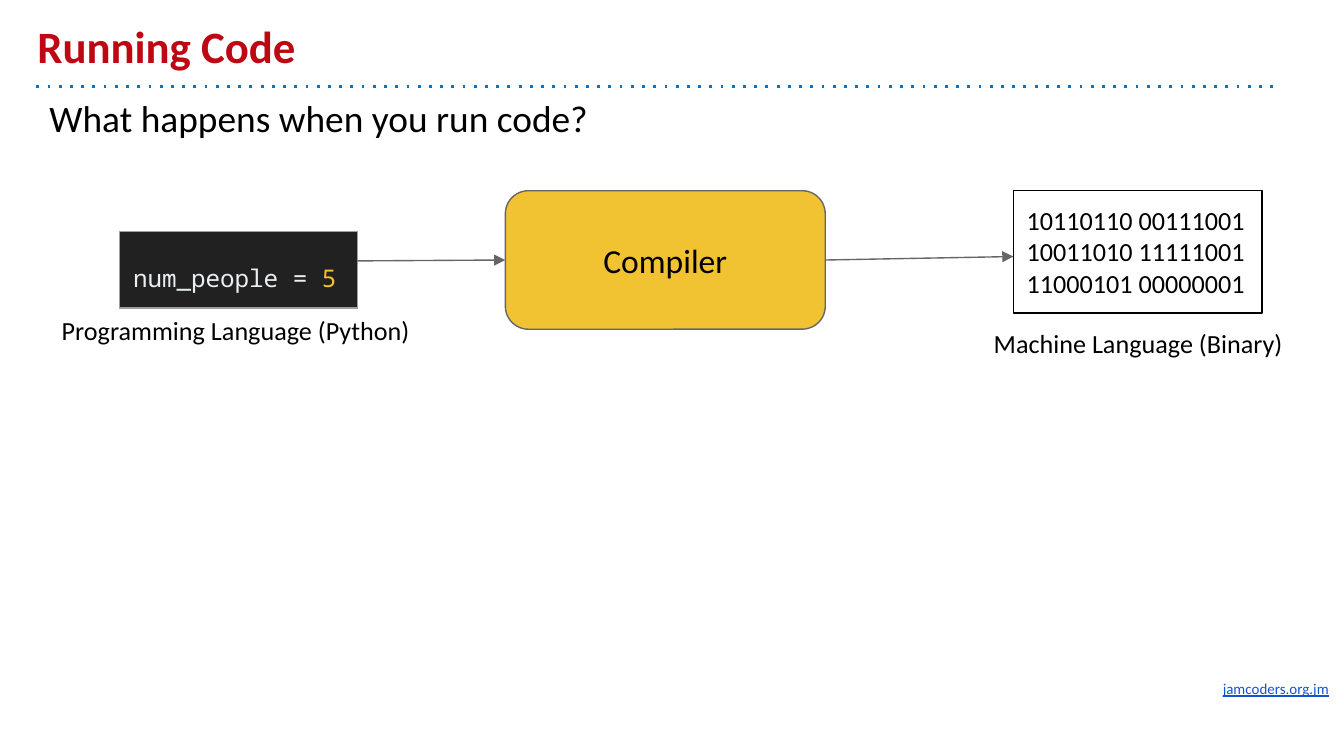
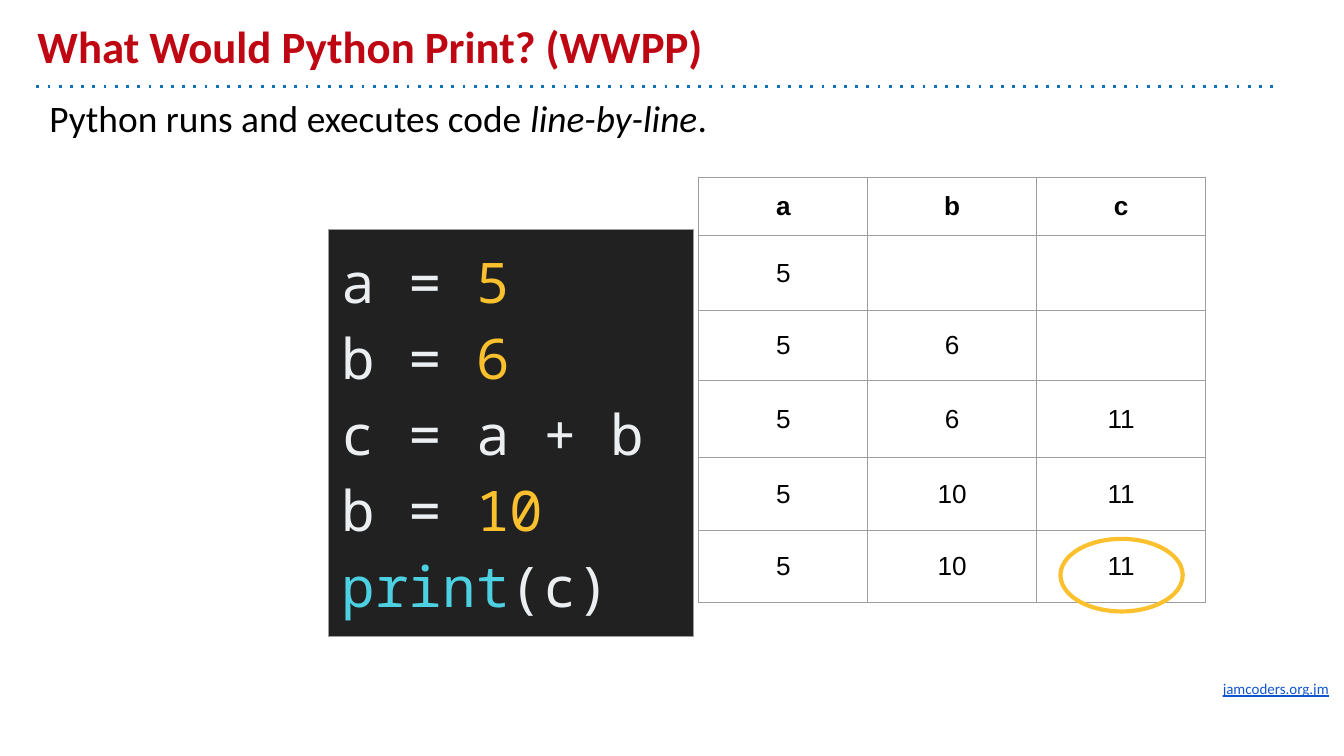
from collections import namedtuple
from itertools import product

from lxml.etree import SubElement
from pptx import Presentation
from pptx.dml.color import RGBColor
from pptx.enum.shapes import MSO_CONNECTOR, MSO_SHAPE
from pptx.enum.text import MSO_ANCHOR as Anchor, PP_ALIGN as Align
from pptx.oxml.ns import qn
from pptx.util import Pt

Box = namedtuple("Box", "left top width height")
Run = namedtuple("Run", "text color bold italic underline", defaults=("000000", False, False, False))

RED = "BE0712"
BLUE = "1072BD"
LINK = "1155CC"
GOLD = "F1C232"
GRAY = "666666"
BORDER = "9E9E9E"
CODE_BACK = "212121"
CODE_TEXT = "ECEFF1"
CODE_NUMBER = "FBC02D"
CODE_CALL = "4DD0E1"
BODY_FONT = "Calibri"
CODE_FONT = "Noto Sans Mono"
TABLE_FONT = "Arial"
INSET = 7.2


def rgb(color):
    return RGBColor.from_string(color)


def points(box):
    return [Pt(length) for length in box]


def within(box, left, top, width, height):
    return Box(box.left + left, box.top + top, width, height)


def write_text(frame, lines, size, font=BODY_FONT, align=Align.LEFT, spacing=None):
    for index, runs in enumerate(lines):
        paragraph = frame.add_paragraph() if index else frame.paragraphs[0]
        paragraph.alignment = align
        if spacing:
            paragraph.line_spacing = spacing
        for part in runs:
            run = paragraph.add_run()
            run.text = part.text
            run.font.name = font
            run.font.size = Pt(size)
            run.font.color.rgb = rgb(part.color)
            run.font.bold = part.bold
            run.font.italic = part.italic
            run.font.underline = part.underline


def fill_frame(frame, lines, size, anchor=Anchor.TOP, align=Align.LEFT):
    frame.word_wrap = True
    frame.vertical_anchor = anchor
    frame.margin_left = frame.margin_right = Pt(INSET)
    frame.margin_top = frame.margin_bottom = Pt(INSET)
    write_text(frame, lines, size, align=align)


def add_text(slide, box, lines, size, **style):
    shape = slide.shapes.add_textbox(*points(box))
    fill_frame(shape.text_frame, lines, size, **style)


def add_outline(slide, kind, box, line, width=0.75, fill=None):
    shape = slide.shapes.add_shape(kind, *points(box))
    shape.shadow.inherit = False
    if fill:
        shape.fill.solid()
        shape.fill.fore_color.rgb = rgb(fill)
    else:
        shape.fill.background()
    shape.line.color.rgb = rgb(line)
    shape.line.width = Pt(width)
    return shape


def add_line(slide, start, end, color, width, tag, **attributes):
    connector = slide.shapes.add_connector(MSO_CONNECTOR.STRAIGHT, *points(start + end))
    connector.line.color.rgb = rgb(color)
    connector.line.width = Pt(width)
    properties = connector._element.spPr
    SubElement(properties.find(qn("a:ln")), qn(tag), **attributes)
    SubElement(properties, qn("a:effectLst"))


def add_arrow(slide, start, end):
    add_line(slide, start, end, GRAY, 0.75, "a:tailEnd", type="triangle")


def add_grid(slide, box, row_heights, column_count):
    frame = slide.shapes.add_table(len(row_heights), column_count, *points(box))
    table = frame.table
    table.first_row = table.horz_banding = False
    for column in table.columns:
        column.width = Pt(box.width / column_count)
    for row, height in zip(table.rows, row_heights):
        row.height = Pt(height)
    return table


def style_cell(cell, fill=None, anchor=Anchor.MIDDLE):
    cell.vertical_anchor = anchor
    cell.margin_left = cell.margin_right = Pt(INSET)
    cell.margin_top = cell.margin_bottom = Pt(INSET)
    properties = cell._tc.get_or_add_tcPr()
    for side in ("L", "R", "T", "B"):
        line = SubElement(properties, qn(f"a:ln{side}"), w=str(Pt(0.75)))
        SubElement(SubElement(line, qn("a:solidFill")), qn("a:srgbClr"), val=BORDER)
    if fill:
        cell.fill.solid()
        cell.fill.fore_color.rgb = rgb(fill)
    else:
        cell.fill.background()


def add_code(slide, box, lines, size, anchor=Anchor.MIDDLE, spacing=None):
    cell = add_grid(slide, box, [box.height], 1).cell(0, 0)
    style_cell(cell, CODE_BACK, anchor)
    write_text(cell.text_frame, lines, size, CODE_FONT, spacing=spacing)


def assignment(name, value):
    return [Run(f"{name} = ", CODE_TEXT), Run(value, CODE_NUMBER)]


def add_page(presentation, title, lead):
    slide = presentation.slides.add_slide(presentation.slide_layouts[6])
    add_text(slide, Box(648, 359.3, 79.2, 24.5), [[Run("jamcoders.org.jm", LINK, underline=True)]], 8)
    add_line(slide, (19.5, 46.2), (684, 46.2), BLUE, 1.5, "a:prstDash", val="dot")
    add_text(slide, Box(13, 7.2, 648, 38.9), [[Run(title, RED, bold=True)]], 24, anchor=Anchor.BOTTOM)
    add_text(slide, Box(19.4, 43.9, 664.6, 326.9), [lead], 20)
    return slide


def draw_pipeline(slide, box):
    code = within(box, 38.1, 21.8, 127.4, 41)
    compiler = within(box, 244.7, 0, 171.4, 74.2)
    binary = within(box, 516.9, 0, 133.2, 65.5)
    middle = compiler.top + compiler.height / 2

    add_code(slide, code, [assignment("num_people", "5")], 13, Anchor.TOP, 1.5)
    add_arrow(slide, (code.left + code.width, middle + 0.5), (compiler.left, middle))
    shape = add_outline(slide, MSO_SHAPE.ROUNDED_RECTANGLE, compiler, GRAY, fill=GOLD)
    fill_frame(shape.text_frame, [[Run("Compiler")]], 18, Anchor.MIDDLE, Align.CENTER)
    add_arrow(slide, (compiler.left + compiler.width, middle), (binary.left, binary.top + binary.height / 2 + 2.5))
    shape = add_outline(slide, MSO_SHAPE.RECTANGLE, binary, "000000")
    digits = "10110110 00111001 10011010 11111001 11000101 00000001"
    fill_frame(shape.text_frame, [[Run(digits)]], 14)

    add_text(slide, within(box, 0, 59.3, 211.7, 31.7), [[Run("Programming Language (Python)")]], 14)
    add_text(slide, within(box, 478, 65.8, 211.7, 31.7), [[Run("Machine Language (Binary)")]], 14, align=Align.CENTER)


def draw_program(slide, box):
    lines = [
        assignment("a", "5"),
        assignment("b", "6"),
        [Run("c = a + b", CODE_TEXT)],
        assignment("b", "10"),
        [Run("print", CODE_CALL), Run("(c)", CODE_TEXT)],
    ]
    add_code(slide, box, lines, 30)


def draw_states(slide, box):
    states = [
        ("a", "b", "c"),
        ("5", "", ""),
        ("5", "6", ""),
        ("5", "6", "11"),
        ("5", "10", "11"),
        ("5", "10", "11"),
    ]
    row_heights = [30, 40.2, 37.5, 41.2, 39.2, 38.5]
    table = add_grid(slide, box, row_heights, 3)
    for row, column in product(range(len(states)), range(3)):
        cell = table.cell(row, column)
        style_cell(cell)
        value = states[row][column]
        if value:
            write_text(cell.text_frame, [[Run(value, bold=row == 0)]], 14, TABLE_FONT, Align.CENTER)
    ring = within(box, 193.7, 193.7, 65.5, 38.9)
    add_outline(slide, MSO_SHAPE.OVAL, ring, CODE_NUMBER, 2.25)


def main():
    presentation = Presentation()
    presentation.slide_width = Pt(720)
    presentation.slide_height = Pt(405)

    slide = add_page(presentation, "Running Code", [Run("What happens when you run code?")])
    draw_pipeline(slide, Box(26, 102.2, 690, 98))

    lead = [Run("Python runs and executes code "), Run("line-by-line", italic=True), Run(".")]
    slide = add_page(presentation, "What Would Python Print? (WWPP)", lead)
    draw_program(slide, Box(175.9, 123.1, 195.8, 218))
    draw_states(slide, Box(374.4, 95, 271.5, 226.6))

    presentation.save("out.pptx")


if __name__ == "__main__":
    main()
